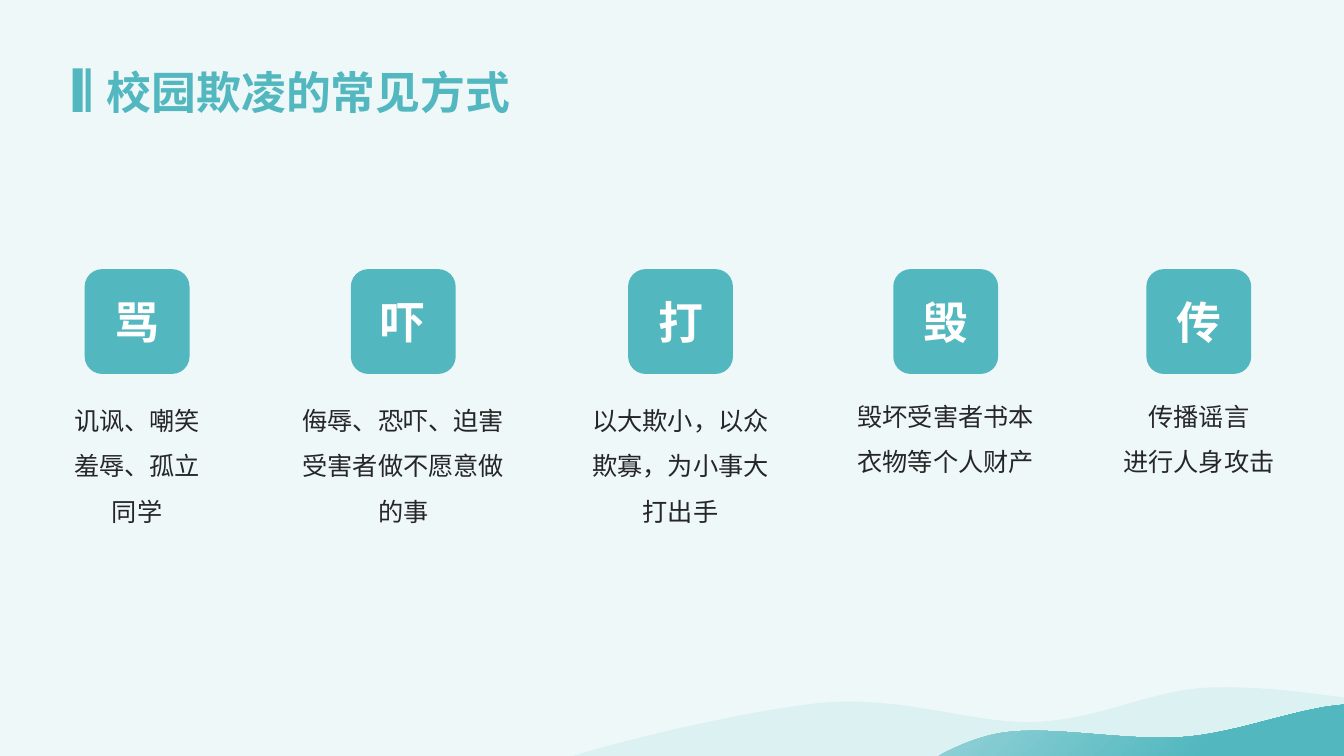
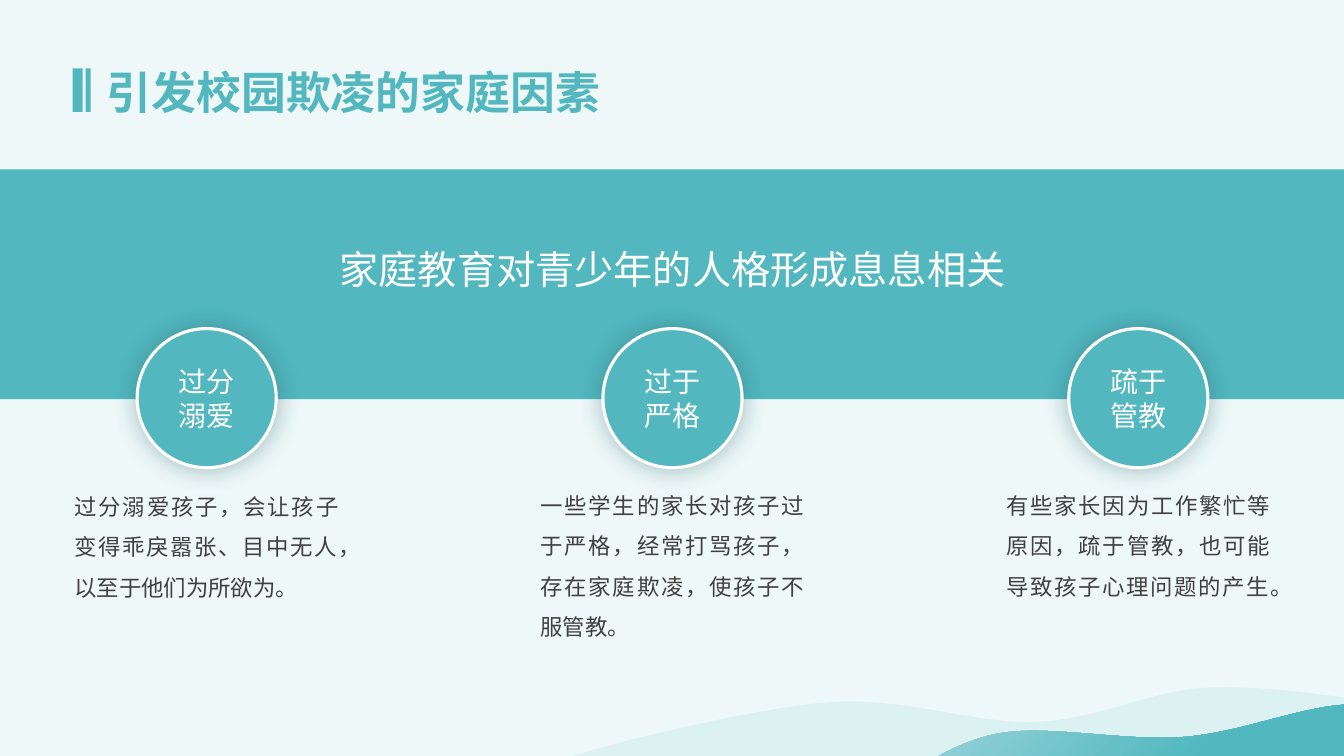
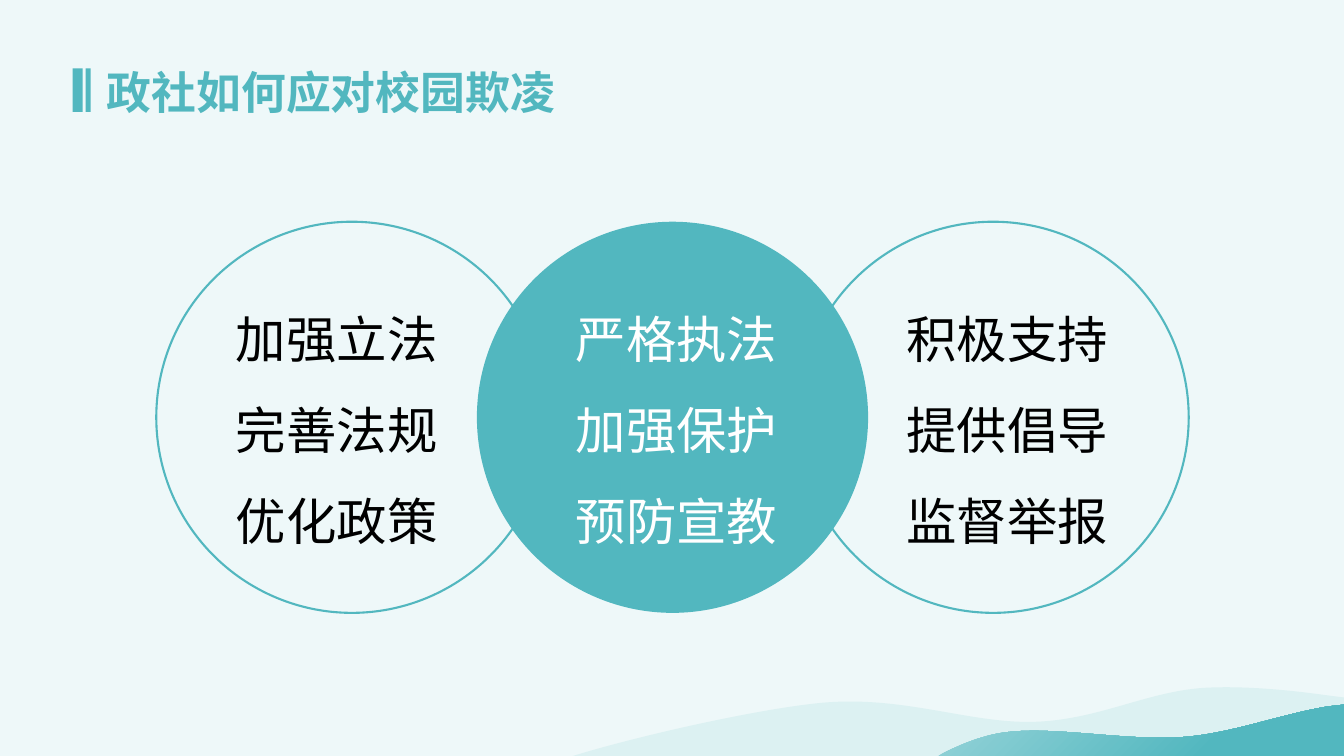
"""Build three slides on school bullying: its forms, family causes and public responses."""
from lxml import etree
from pptx import Presentation
from pptx.dml.color import RGBColor
from pptx.enum.shapes import MSO_SHAPE
from pptx.enum.text import MSO_ANCHOR, PP_ALIGN
from pptx.oxml.ns import qn
from pptx.util import Inches, Pt

RECTANGLE, ROUNDED, OVAL = MSO_SHAPE.RECTANGLE, MSO_SHAPE.ROUNDED_RECTANGLE, MSO_SHAPE.OVAL
LEFT, CENTER, JUSTIFY = PP_ALIGN.LEFT, PP_ALIGN.CENTER, PP_ALIGN.JUSTIFY
TOP, MIDDLE = MSO_ANCHOR.TOP, MSO_ANCHOR.MIDDLE

TEAL = RGBColor(0x52, 0xB7, 0xBF)
LIGHT_TEAL = RGBColor(0x97, 0xD4, 0xD9)
PALE_WAVE = RGBColor(0xDC, 0xF1, 0xF2)
BACKGROUND = RGBColor(0xEE, 0xF8, 0xF9)
SHADOW = RGBColor(0x25, 0x5F, 0x64)
WHITE = RGBColor(0xFF, 0xFF, 0xFF)
BLACK = RGBColor(0x00, 0x00, 0x00)
DARK = RGBColor(0x26, 0x26, 0x26)
GRAY = RGBColor(0x40, 0x40, 0x40)
FONT = "Noto Sans CJK SC"


def write(box, text, size, color, font=FONT, bold=False, align=CENTER, anchor=TOP,
          spacing=1.0, inset=(0, 0)):
    """Fill a shape with text, one paragraph per line."""
    frame = box.text_frame
    frame.text = text
    frame.word_wrap = True
    frame.vertical_anchor = anchor
    frame.margin_left = frame.margin_right = Inches(inset[0])
    frame.margin_top = frame.margin_bottom = Inches(inset[1])
    for para in frame.paragraphs:
        para.alignment = align
        para.line_spacing = spacing
        for span in para.runs:
            span.font.size = Pt(size)
            span.font.bold = bold
            span.font.name = font
            span.font.color.rgb = color
    for properties in box.element.iter(qn("a:rPr")):
        etree.SubElement(properties, qn("a:ea"), typeface=FONT)


def add_figure(page, kind, left, top, width, height, fill=None, line=None, weight=1.0):
    """Add a preset shape with a plain fill and outline."""
    figure = page.shapes.add_shape(kind, Inches(left), Inches(top), Inches(width), Inches(height))
    figure.shadow.inherit = False
    if fill is None:
        figure.fill.background()
    else:
        figure.fill.solid()
        figure.fill.fore_color.rgb = fill
    if line is None:
        figure.line.fill.background()
    else:
        figure.line.color.rgb = line
        figure.line.width = Pt(weight)
    return figure


deck = Presentation()
deck.slide_width, deck.slide_height = Inches(13.33), Inches(7.5)
layout = deck.slide_layouts[5]
layout.background.fill.solid()
layout.background.fill.fore_color.rgb = BACKGROUND
for holder in list(layout.placeholders):
    if holder.placeholder_format.idx != 0:
        layout.shapes.element.remove(holder.element)

pages = []
for heading in ("校园欺凌的常见方式", "引发校园欺凌的家庭因素", "政社如何应对校园欺凌"):
    page = deck.slides.add_slide(layout)
    title = page.shapes.title
    title.left, title.top = Inches(1.06), Inches(0.64)
    title.width, title.height = Inches(5.6), Inches(0.54)
    write(title, heading, 32, TEAL, bold=True, align=LEFT)
    pages.append(page)
forms_page, family_page, response_page = pages

back_wave = [
    (12.04, 6.82), (12.35, 6.81, 12.74, 6.84, 13.1, 6.89), (13.33, 6.92), (13.33, 7.5),
    (5.68, 7.5), (5.85, 7.45), (6.55, 7.25, 7.53, 7.04, 8.08, 6.98),
    (8.94, 6.88, 9.62, 7.19, 10.29, 7.16), (10.95, 7.13, 11.43, 6.83, 12.04, 6.82),
]
front_wave = [
    (13.33, 6.99), (13.33, 7.5), (9.31, 7.5), (9.36, 7.47),
    (9.52, 7.39, 9.69, 7.32, 9.88, 7.28), (10.38, 7.18, 11.14, 7.36, 11.76, 7.31),
    (12.23, 7.27, 12.69, 7.09, 13.16, 7.01),
]
decorations = []
for outline in (back_wave, front_wave):
    corners = [(Inches(x), Inches(y)) for segment in outline
               for x, y in zip(segment[::2], segment[1::2])]
    builder = forms_page.shapes.build_freeform(*corners[0])
    builder.add_line_segments(corners[1:], close=True)
    wave = builder.convert_to_shape()
    wave.shadow.inherit = False
    wave.line.fill.background()
    strokes = iter(list(wave.element.iter(qn("a:lnTo"))))
    for segment in outline[1:]:
        stroke = next(strokes)
        if len(segment) == 6:
            stroke.tag = qn("a:cubicBezTo")
            for spare in (next(strokes), next(strokes)):
                stroke.append(spare[0])
                spare.getparent().remove(spare)
    decorations.append(wave)
decorations[0].fill.solid()
decorations[0].fill.fore_color.rgb = PALE_WAVE
gradient = decorations[1].fill
gradient.gradient()
gradient.gradient_angle = 315
for stop, color, position in zip(gradient.gradient_stops, (LIGHT_TEAL, TEAL), (0, 0.69)):
    stop.color.rgb = color
    stop.position = position
for left, width in ((0.72, 0.1), (0.85, 0.05)):
    decorations.append(add_figure(forms_page, RECTANGLE, left, 0.68, width, 0.43, fill=TEAL))
for decoration in decorations:
    layout.shapes.element.append(decoration.element)

TILE = 1.04
forms = [
    (1.36, 3.83, 1.69, 1.39, "骂", "讥讽、嘲笑\n羞辱、孤立\n同学"),
    (4.0, 3.83, 2.15, 1.39, "吓", "侮辱、恐吓、迫害受害者做不愿意做的事"),
    (6.75, 3.83, 1.92, 1.39, "打", "以大欺小，以众\n欺寡，为小事大\n打出手"),
    (9.38, 3.79, 1.92, 0.93, "毁", "毁坏受害者书本\n衣物等个人财产"),
    (11.89, 3.79, 1.69, 0.93, "传", "传播谣言\n进行人身攻击"),
]
for center, top, width, height, word, detail in forms:
    box = forms_page.shapes.add_textbox(
        Inches(center - width / 2), Inches(top), Inches(width), Inches(height))
    write(box, detail, 18, DARK, spacing=1.5, inset=(0.07, 0.04))
    tile = add_figure(forms_page, ROUNDED, center - TILE / 2, 2.67, TILE, TILE, fill=TEAL)
    write(tile, word, 32, WHITE, bold=True, anchor=MIDDLE, inset=(0.07, 0.04))

add_figure(family_page, RECTANGLE, 0, 1.68, 13.33, 2.28, fill=TEAL)
box = family_page.shapes.add_textbox(Inches(3.18), Inches(2.2), Inches(6.98), Inches(0.63))
write(box, "家庭教育对青少年的人格形成息息相关", 28, WHITE, font="Arial", spacing=1.5)

BADGE, CAUSE_WIDTH = 1.38, 2.62
causes = [
    (4.76, 1.17, "过分溺爱", "过分溺爱孩子，会让孩子变得乖戾嚣张、目中无人，以至于他们为所欲为。"),
    (4.75, 1.57, "过于严格", "一些学生的家长对孩子过于严格，经常打骂孩子，存在家庭欺凌，使孩子不服管教。"),
    (4.75, 1.17, "疏于管教", "有些家长因为工作繁忙等原因，疏于管教，也可能导致孩子心理问题的产生。"),
]
for index, (top, height, cause, detail) in enumerate(causes):
    center = 2.05 + 4.62 * index
    badge = add_figure(family_page, OVAL, center - BADGE / 2, 3.26, BADGE, BADGE,
                       fill=TEAL, line=WHITE, weight=2.25)
    effects = badge.element.spPr.find(qn("a:effectLst"))
    glow = etree.SubElement(effects, qn("a:outerShdw"), blurRad=str(Pt(18)), dist="0",
                            algn="ctr", rotWithShape="0")
    tint = etree.SubElement(glow, qn("a:srgbClr"), val=str(SHADOW))
    etree.SubElement(tint, qn("a:alpha"), val="40000")
    write(badge, cause, 20, WHITE, anchor=MIDDLE, inset=(0.1, 0.05))
    box = family_page.shapes.add_textbox(
        Inches(center - CAUSE_WIDTH / 2), Inches(top), Inches(CAUSE_WIDTH), Inches(height))
    write(box, detail, 16, GRAY, align=JUSTIFY, spacing=1.5)

DISC = 3.88
responses = [
    (2.24, 2.71, 2.38, 2.72, (0.1, 0.05), None, TEAL, BLACK, "加强立法\n完善法规优化政策"),
    (5.71, 2.76, 2.38, 2.62, (0, 0), TEAL, None, WHITE, "严格执法\n加强保护\n预防宣教"),
    (8.89, 2.71, 2.66, 2.72, (0.1, 0.05), None, TEAL, BLACK, "积极支持\n提供倡导\n监督举报"),
]
for index, (left, top, width, height, inset, fill, line, color, actions) in enumerate(responses):
    add_figure(response_page, OVAL, 1.55 + 3.18 * index, 2.2, DISC, DISC,
               fill=fill, line=line, weight=1.5)
    box = response_page.shapes.add_textbox(
        Inches(left), Inches(top), Inches(width), Inches(height))
    write(box, actions, 36, color, align=LEFT, spacing=1.5, inset=inset)

deck.save("out.pptx")
